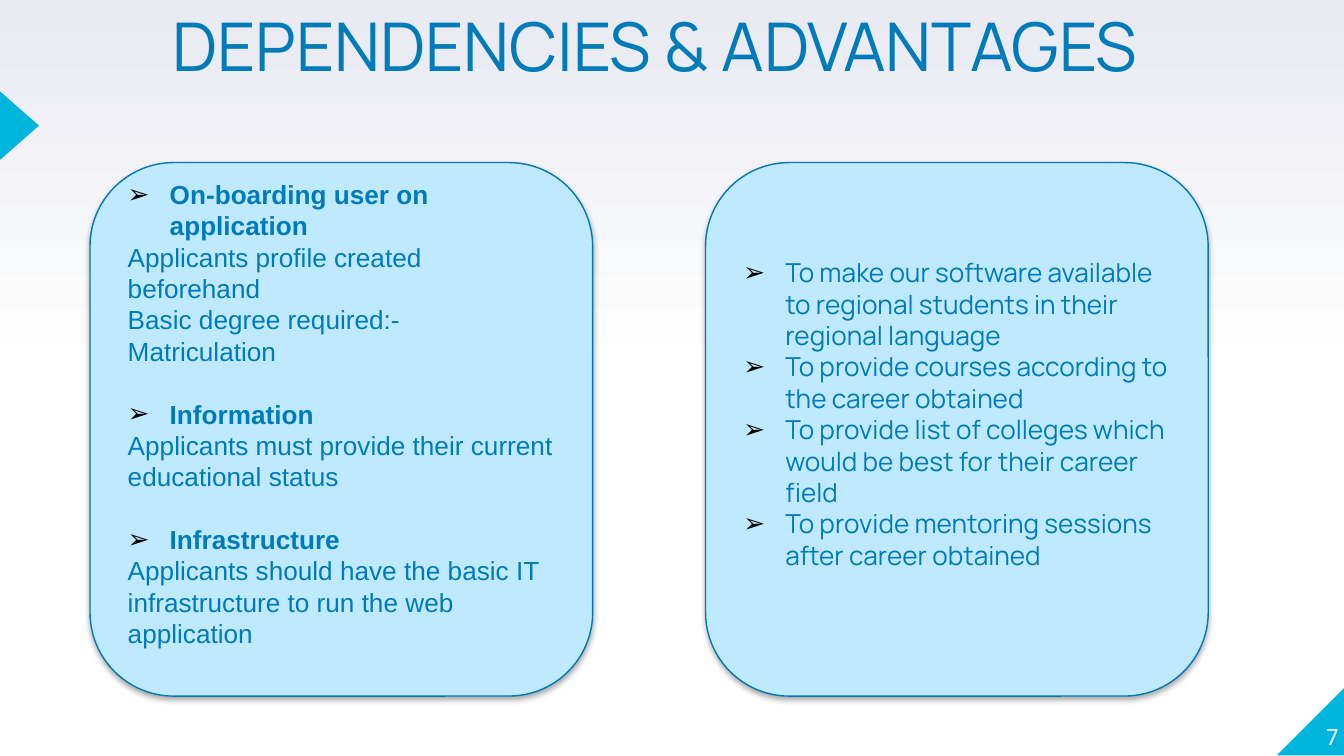
from lxml.etree import SubElement
from pptx import Presentation
from pptx.dml.color import RGBColor
from pptx.enum.shapes import MSO_SHAPE
from pptx.enum.text import MSO_ANCHOR, MSO_AUTO_SIZE, PP_ALIGN
from pptx.oxml.ns import qn
from pptx.util import Inches, Pt

WIDTH = Inches(10)
HEIGHT = WIDTH * 9 // 16
COLUMN = WIDTH // 100
TEXT_BLUE = RGBColor(0x00, 0x7B, 0xB9)
EDGE_BLUE = RGBColor(0x00, 0x78, 0xB5)
PANEL_BLUE = RGBColor(0xBE, 0xE9, 0xFF)
ACCENT = RGBColor(0x00, 0xB5, 0xDD)
WHITE = RGBColor(0xFF, 0xFF, 0xFF)
MIST = RGBColor(0xE9, 0xEA, 0xF2)
LINE_PITCH = Pt(16.8)
HANGING = Pt(22.5)

DEPENDENCIES = [
    ("On-boarding user on application",
     ["Applicants profile created beforehand",
      "Basic degree required:- Matriculation"]),
    ("Information",
     ["Applicants must provide their current educational status"]),
    ("Infrastructure",
     ["Applicants should have the basic IT infrastructure to run the web application"]),
]
ADVANTAGES = [
    "To make our software available to regional students in their regional language",
    "To provide courses according to the career obtained",
    "To provide list of colleges which would be best for their career field",
    "To provide mentoring sessions after career obtained",
]


def grid(*cells):
    """Turn grid columns, square and a hundred to the width, into lengths."""
    return [round(cell * COLUMN) for cell in cells]


def clear_margins(frame):
    """Remove the inner margins of a text frame."""
    frame.margin_left = frame.margin_right = 0
    frame.margin_top = frame.margin_bottom = 0


def style(para, size, face, color, bold=False):
    """Set the font of a whole paragraph."""
    font = para.font
    font.size, font.name, font.bold = Pt(size), face, bold
    font.color.rgb = color


def add_bullet(para):
    """Give a paragraph a black arrow bullet with a hanging indent."""
    props = para._p.get_or_add_pPr()
    props.set("marL", str(HANGING))
    props.set("indent", str(-HANGING))
    color = SubElement(props, qn("a:buClr"))
    SubElement(color, qn("a:srgbClr"), val="000000")
    SubElement(props, qn("a:buFont"), typeface="Arial")
    SubElement(props, qn("a:buChar"), char="➢")


def add_shadow(shape):
    """Drop a soft shadow below a shape."""
    shape.shadow.inherit = False
    effects = shape._element.spPr.find(qn("a:effectLst"))
    shadow = SubElement(effects, qn("a:outerShdw"), blurRad=str(Pt(3.1)),
                        dist=str(Pt(1.8)), dir="5400000", rotWithShape="0")
    color = SubElement(shadow, qn("a:srgbClr"), val="000000")
    SubElement(color, qn("a:alpha"), val="35000")


def paint_background(page):
    """Fade the page from white up to a pale mist at the top."""
    fill = page.background.fill
    fill.gradient()
    fill.gradient_angle = 90
    for stop, position, color in zip(fill.gradient_stops, (0.5, 1), (WHITE, MIST)):
        stop.position = position
        stop.color.rgb = color


def add_accent(page, kind, box, rotation):
    """Place one turned accent triangle."""
    shape = page.shapes.add_shape(kind, *grid(*box))
    shape.rotation = rotation
    shape.shadow.inherit = False
    shape.fill.solid()
    shape.fill.fore_color.rgb = ACCENT
    shape.line.fill.background()


def set_title(page, box, text):
    """Move and format the title placeholder."""
    title = page.shapes.title
    title.left, title.top, title.width, title.height = grid(*box)
    frame = title.text_frame
    clear_margins(frame)
    frame.auto_size = MSO_AUTO_SIZE.NONE
    frame.vertical_anchor = MSO_ANCHOR.TOP
    frame.text = text
    para = frame.paragraphs[0]
    para.alignment, para.line_spacing = PP_ALIGN.LEFT, 0.8
    style(para, 36, "Manrope", TEXT_BLUE)


def add_page_number(page, box, number):
    """Write the page number in the corner."""
    frame = page.shapes.add_textbox(*grid(*box)).text_frame
    clear_margins(frame)
    frame.word_wrap = True
    frame.vertical_anchor = MSO_ANCHOR.BOTTOM
    para = frame.paragraphs[0]
    para.text, para.alignment = number, PP_ALIGN.RIGHT
    style(para, 12, "Roboto", WHITE)


def add_panel(page, box, face, lines):
    """Draw a rounded panel of (text, bulleted, bold, gap) lines."""
    panel = page.shapes.add_shape(MSO_SHAPE.ROUNDED_RECTANGLE, *grid(*box))
    panel.fill.solid()
    panel.fill.fore_color.rgb = PANEL_BLUE
    panel.line.color.rgb = EDGE_BLUE
    panel.line.width = Pt(0.75)
    add_shadow(panel)
    frame = panel.text_frame
    frame.word_wrap = True
    frame.vertical_anchor = MSO_ANCHOR.MIDDLE
    frame.margin_bottom = Inches(0.05) + LINE_PITCH
    for index, (text, bulleted, bold, gap) in enumerate(lines):
        para = frame.add_paragraph() if index else frame.paragraphs[0]
        para.text, para.alignment = text, PP_ALIGN.LEFT
        para.line_spacing = LINE_PITCH
        if gap:
            para.space_before = LINE_PITCH
        if bulleted:
            add_bullet(para)
        style(para, 14, face, TEXT_BLUE, bold)


def main():
    """Build the deck and save it."""
    deck = Presentation()
    deck.slide_width, deck.slide_height = WIDTH, HEIGHT
    page = deck.slides.add_slide(deck.slide_layouts[5])
    paint_background(page)
    add_accent(page, MSO_SHAPE.RIGHT_TRIANGLE, (95, 51.1, 5.1, 5.1), 270)
    add_accent(page, MSO_SHAPE.ISOSCELES_TRIANGLE, (-1.1, 7.9, 5.1, 2.9), 90)
    set_title(page, (12.8, 1.5, 80.1, 7.4), "DEPENDENCIES & ADVANTAGES")
    add_page_number(page, (94.6, 50.7, 5, 5.1), "7")
    needs = []
    for heading, details in DEPENDENCIES:
        needs.append((heading, True, True, bool(needs)))
        needs += [(detail, False, False, False) for detail in details]
    gains = [(text, True, False, False) for text in ADVANTAGES]
    for left, face, lines in ((6.7, "Arial", needs), (52.5, "Manrope", gains)):
        add_panel(page, (left, 12.1, 37.4, 39.7), face, lines)
    deck.save("out.pptx")


if __name__ == "__main__":
    main()
